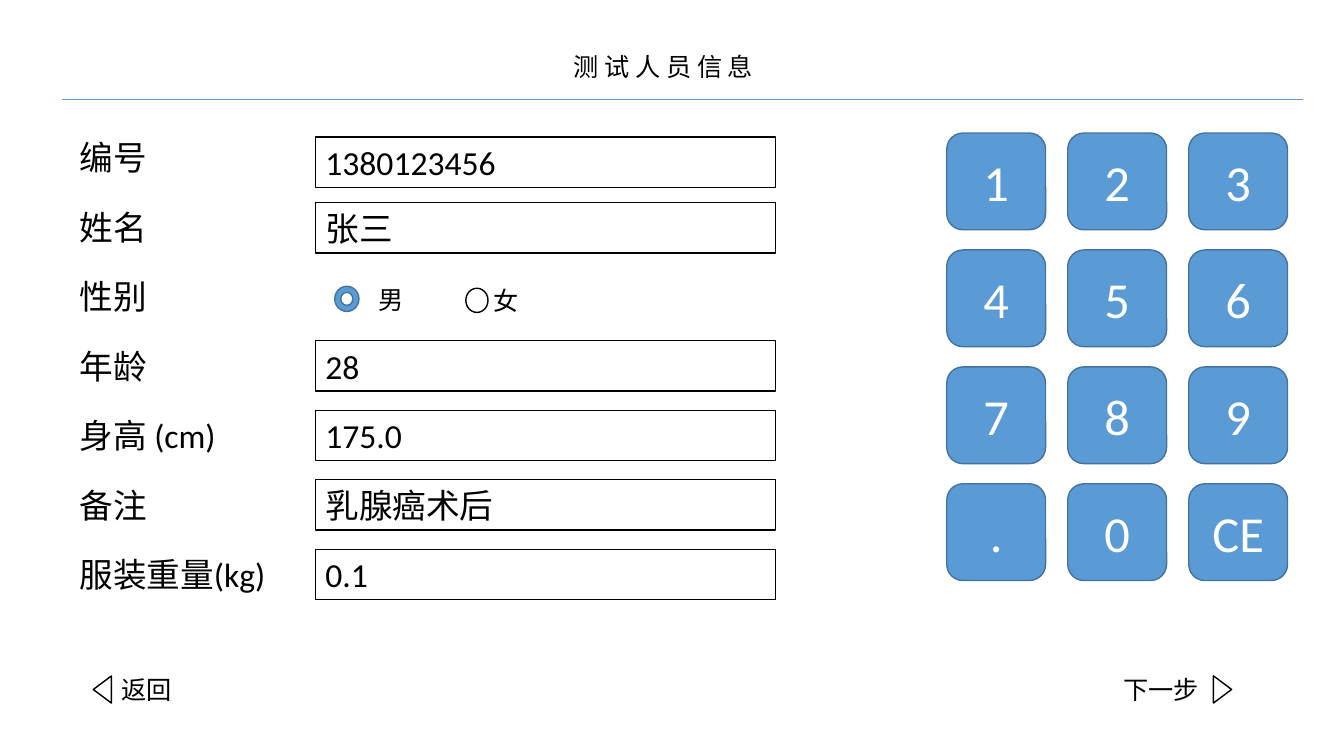
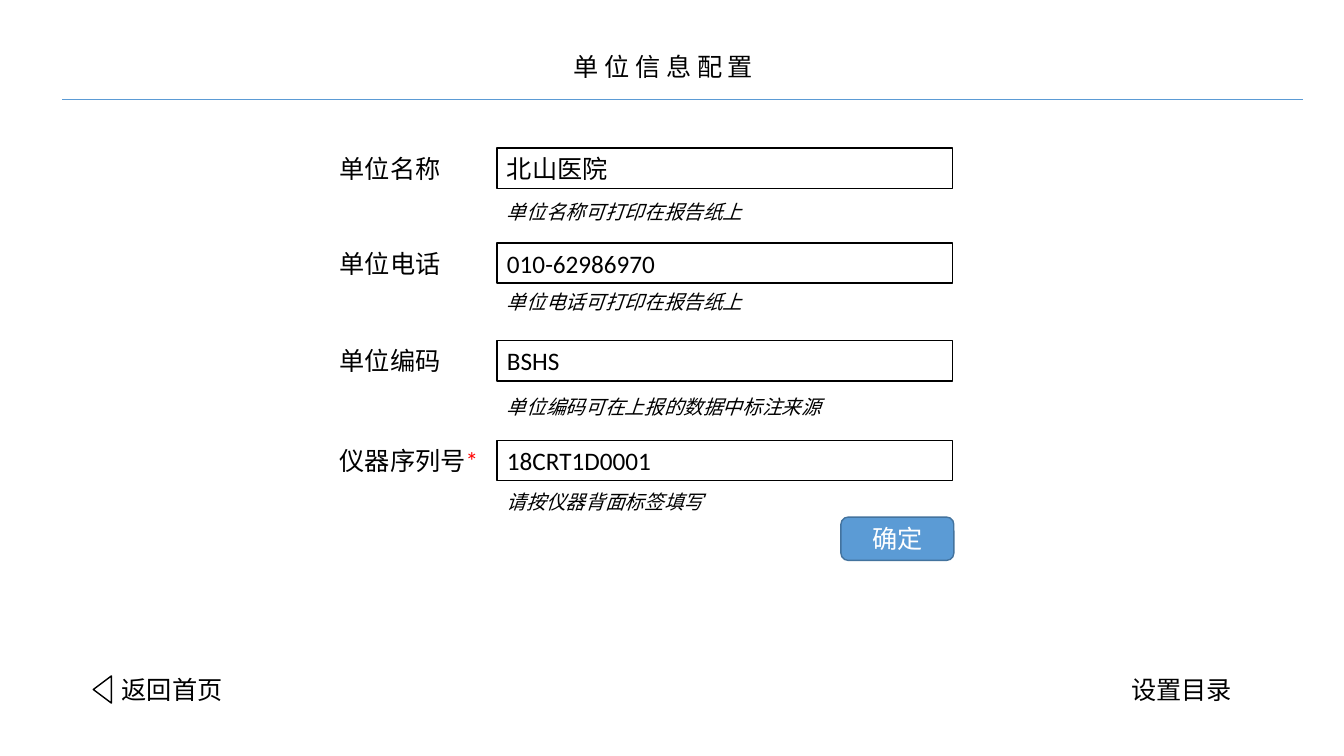
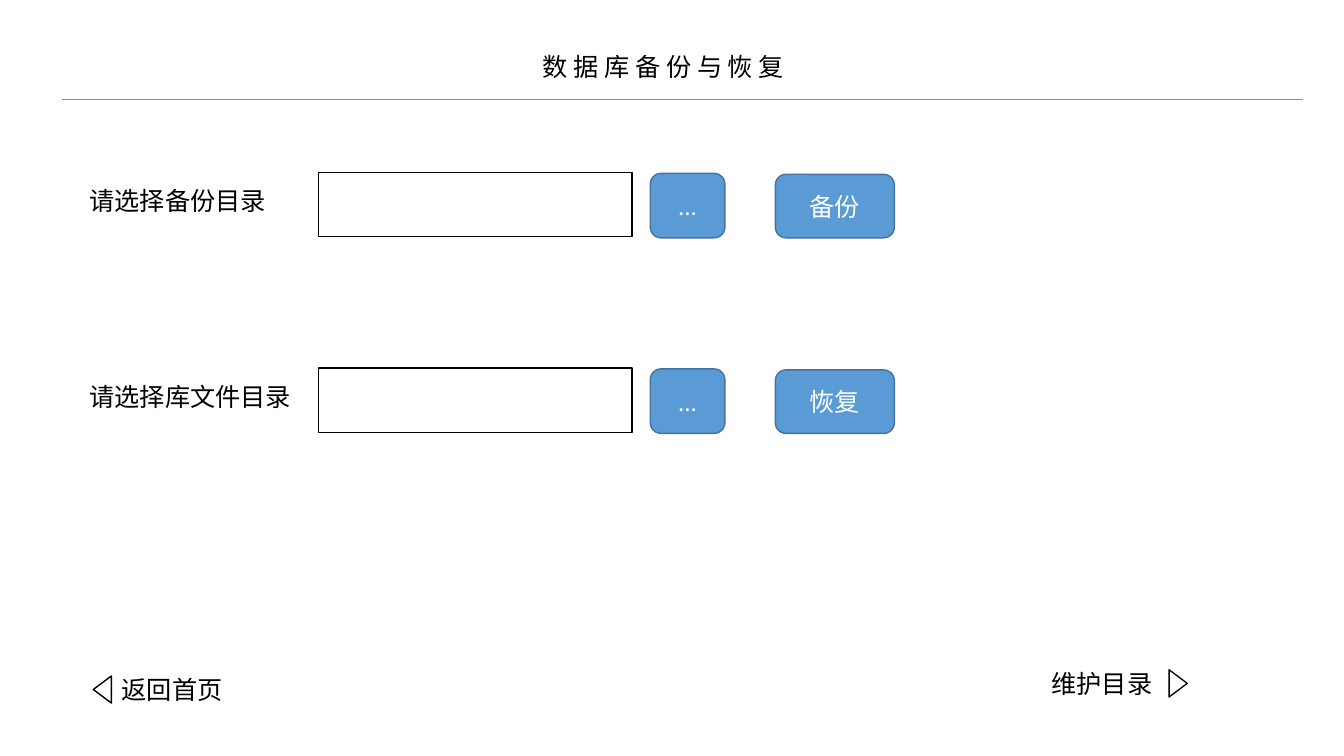
from lxml.etree import SubElement
from pptx import Presentation
from pptx.dml.color import RGBColor
from pptx.enum.shapes import MSO_CONNECTOR, MSO_SHAPE
from pptx.enum.text import MSO_ANCHOR, MSO_AUTO_SIZE, PP_ALIGN
from pptx.oxml.ns import qn
from pptx.util import Emu, Pt

SCALE = 9144
BLACK, WHITE, RED = "000000", "FFFFFF", "FF0000"
BLUE, EDGE = "5B9BD5", "43739E"
LATIN, HAN = "Calibri", "Noto Sans CJK SC"


def px(*sizes):
    return [Emu(size * SCALE) for size in sizes]


def color(code):
    return RGBColor.from_string(code)


def run(para, text, size, tint=BLACK, face=LATIN, slant=False):
    part = para.add_run()
    part.text = text
    font = part.font
    font.name, font.size = face, Pt(size)
    font.bold, font.italic = False, slant
    font.color.rgb = color(tint)
    SubElement(font._element, qn("a:ea"), typeface=HAN)


def fit(frame):
    frame.word_wrap = True
    frame.auto_size = MSO_AUTO_SIZE.SHAPE_TO_FIT_TEXT


def label(slide, x, y, wide, high, text, size=18, slant=False, star=False):
    frame = slide.shapes.add_textbox(*px(x, y, wide, high)).text_frame
    fit(frame)
    para = frame.paragraphs[0]
    run(para, text, size, slant=slant)
    if star:
        run(para, "*", size, RED)


def block(slide, kind, x, y, wide, high, fill=WHITE, edge=BLACK):
    shape = slide.shapes.add_shape(kind, *px(x, y, wide, high))
    shape.shadow.inherit = False
    shape.fill.solid()
    shape.fill.fore_color.rgb = color(fill)
    shape.line.color.rgb = color(edge)
    shape.line.width = Pt(1)
    return shape


def field(slide, x, y, wide, high, text="", size=18):
    frame = block(slide, MSO_SHAPE.RECTANGLE, x, y, wide, high).text_frame
    if text:
        fit(frame)
        para = frame.paragraphs[0]
        para.alignment = PP_ALIGN.LEFT
        run(para, text, size)


def button(slide, x, y, wide, high, text, size=18):
    shape = block(slide, MSO_SHAPE.ROUNDED_RECTANGLE, x, y, wide, high, BLUE, EDGE)
    frame = shape.text_frame
    frame.margin_left = frame.margin_right = 0
    frame.margin_top = frame.margin_bottom = 0
    para = frame.paragraphs[0]
    para.alignment = PP_ALIGN.CENTER
    run(para, text, size, WHITE)


def arrow(slide, x, y, turn):
    block(slide, MSO_SHAPE.ISOSCELES_TRIANGLE, x, y, 27, 18).rotation = turn


def page(deck, title, back):
    slide = deck.slides.add_slide(deck.slide_layouts[5])
    head = slide.shapes.title
    head.left, head.top, head.width, head.height = px(278, 46, 760, 40)
    frame = head.text_frame
    fit(frame)
    frame.vertical_anchor = MSO_ANCHOR.TOP
    para = frame.paragraphs[0]
    para.alignment = PP_ALIGN.CENTER
    run(para, " ".join(title), 18, face=HAN)
    rule = slide.shapes.add_connector(MSO_CONNECTOR.STRAIGHT, *px(62, 99, 1292, 99))
    rule.line.color.rgb = color(BLUE)
    rule.line.width = Pt(0.5)
    SubElement(rule._element.spPr, qn("a:effectLst"))
    label(slide, 111, 664, 127, 40, back)
    arrow(slide, 88, 675, 270)
    return slide


def person(deck):
    slide = page(deck, "测试人员信息", "返回")
    rows = [
        ("编号", "1380123456", 5),
        ("姓名", "张三", 1),
        ("性别", "", 0),
        ("年龄", "28", 0),
        ("身高 (cm)", "175.0", 0),
        ("备注", "乳腺癌术后", 0),
        ("服装重量(kg)", "0.1", 0),
    ]
    for i, (name, value, drop) in enumerate(rows):
        y = 131 + 69 * i
        label(slide, 69, y, 235, 50, name, 24)
        if value:
            field(slide, 313, y + drop, 456, 50, value, 24)
    block(slide, MSO_SHAPE.DONUT, 332, 284, 24, 25, BLUE, EDGE)
    block(slide, MSO_SHAPE.OVAL, 462, 286, 22, 24)
    label(slide, 366, 277, 41, 40, "男")
    label(slide, 480, 278, 41, 40, "女")
    for i, key in enumerate([*"123456789.0", "CE"]):
        row, col = divmod(i, 3)
        button(slide, 939 + 120 * col, 132 + 116 * row, 98, 96, key, 36)
    label(slide, 1104, 664, 127, 40, "下一步")
    arrow(slide, 1199, 675, 90)


def unit(deck):
    slide = page(deck, "单位信息配置", "返回首页")
    rows = [
        (147, "单位名称", "北山医院", 193, "单位名称可打印在报告纸上", False),
        (241, "单位电话", "010-62986970", 283, "单位电话可打印在报告纸上", False),
        (338, "单位编码", "BSHS", 387, "单位编码可在上报的数据中标注来源", False),
        (437, "仪器序列号", "18CRT1D0001", 481, "请按仪器背面标签填写", True),
    ]
    for y, name, value, low, hint, star in rows:
        label(slide, 327, y, 166, 40, name, star=star)
        field(slide, 493, y, 452, 40, value)
        label(slide, 493, low, 453, 34, hint, 14, slant=True)
    button(slide, 834, 513, 112, 43, "确定")
    label(slide, 1112, 664, 127, 40, "设置目录")


def store(deck):
    slide = page(deck, "数据库备份与恢复", "返回首页")
    rows = [("请选择备份目录", "备份"), ("请选择库文件目录", "恢复")]
    for i, (name, act) in enumerate(rows):
        y = 171 + 194 * i
        label(slide, 79, y + 8, 237, 40, name)
        field(slide, 316, y, 311, 64)
        button(slide, 645, y + 1, 74, 64, "...")
        button(slide, 769, y + 2, 118, 63, act)
    label(slide, 1033, 658, 127, 40, "维护目录")
    arrow(slide, 1155, 669, 90)


def main():
    deck = Presentation()
    deck.slide_width, deck.slide_height = px(1333, 750)
    person(deck)
    unit(deck)
    store(deck)
    deck.save("out.pptx")


if __name__ == "__main__":
    main()
